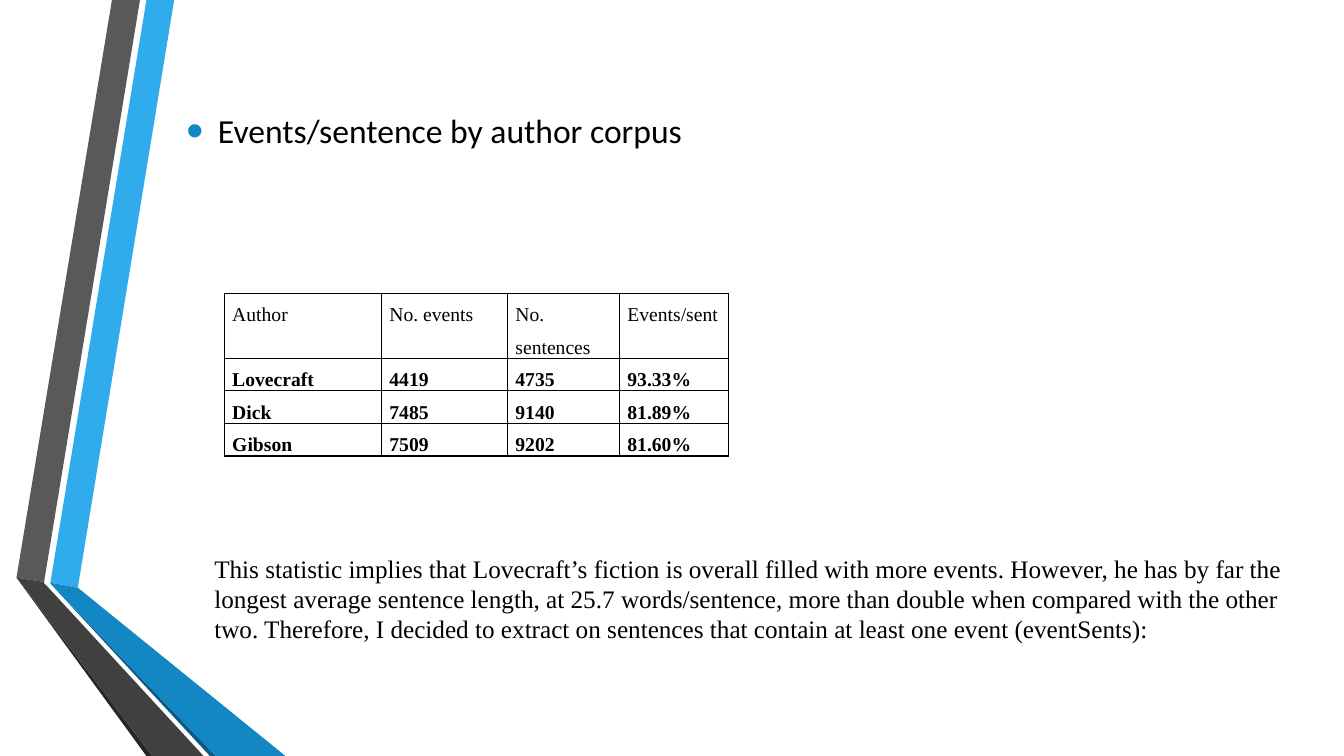
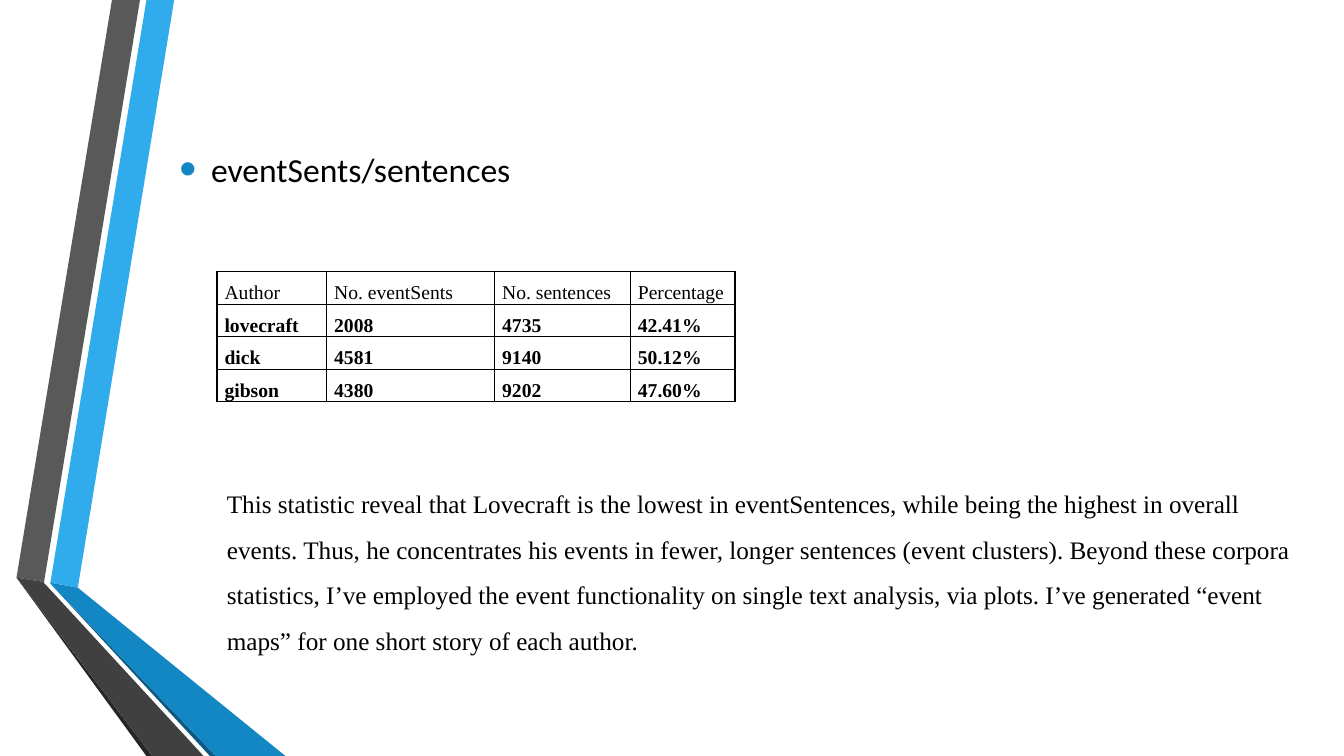
import pptx
import pptx.dml.color
import pptx.enum.text
import pptx.oxml.ns
import pptx.util
import lxml.etree

Pt = pptx.util.Pt
qn = pptx.oxml.ns.qn
ALIGN = pptx.enum.text.PP_ALIGN

COLORS = {
    "text": "000000", "bullet": "1287C3",
    "sky": "30ACEC", "blue": "1287C3", "navy": "0C5A82",
    "grey": "595959", "charcoal": "404040", "black": "262626",
}
HEAD_FONT, BODY_FONT = "Calibri", "Times New Roman"

# Folded ribbons at the left edge: colour and corner points
RIBBONS = [
    ("sky", [(36, 416.2), (55.6, 419.8), (124.4, 0), (104.6, 0)]),
    ("grey", [(100, 0), (80, 0), (11.8, 412.6), (31.5, 415.7)]),
    ("black", [(11.8, 412.6), (104.6, 540), (108.8, 540)]),
    ("navy", [(36, 416.8), (149.9, 540), (154.2, 540)]),
    ("blue", [(36, 416.8), (154.2, 540), (203.9, 540), (55.6, 419.8), (36, 416.2)]),
    ("charcoal", [(145.4, 540), (34.6, 419.8), (31, 416), (31.5, 415.7),
                  (11.8, 412.6), (108.8, 540)]),
]


def rgb(name):
    return pptx.dml.color.RGBColor.from_string(COLORS[name])


def add_xml(parent, tag, **attrs):
    return lxml.etree.SubElement(parent, qn(tag), attrs)


class Deck:
    def __init__(self):
        self.prs = pptx.Presentation()
        self.prs.slide_width, self.prs.slide_height = Pt(960), Pt(540)
        self.slide = None

    def new_slide(self):
        self.slide = self.prs.slides.add_slide(self.prs.slide_layouts[5])
        for color, points in RIBBONS:
            self.polygon(color, points)

    def polygon(self, color, points):
        start, *rest = [(Pt(x), Pt(y)) for x, y in points]
        builder = self.slide.shapes.build_freeform(*start)
        builder.add_line_segments(rest, close=True)
        sp = builder.convert_to_shape()
        sp.shadow.inherit = False
        sp.fill.solid()
        sp.fill.fore_color.rgb = rgb(color)
        sp.line.fill.background()

    def run(self, p, text, size, font, bold=False):
        r = p.add_run()
        r.text = text
        r.font.size, r.font.name, r.font.bold = Pt(size), font, bold
        r.font.color.rgb = rgb("text")

    def heading(self, text, left, top, width, height):
        sp = self.slide.shapes.title
        sp.left, sp.top, sp.width, sp.height = map(Pt, (left, top, width, height))
        tf = sp.text_frame
        tf.auto_size = pptx.enum.text.MSO_AUTO_SIZE.NONE
        tf.vertical_anchor = pptx.enum.text.MSO_ANCHOR.MIDDLE
        p = tf.paragraphs[0]
        p.alignment = ALIGN.LEFT
        p.space_before, p.space_after = Pt(4.8), Pt(6)
        self.run(p, text, 24, HEAD_FONT)
        # Large coloured bullet with a hanging indent
        ppr = p._p.get_or_add_pPr()
        ppr.set("marL", str(Pt(22.5)))
        ppr.set("indent", str(Pt(-22.5)))
        add_xml(add_xml(ppr, "a:buClr"), "a:srgbClr", val=COLORS["bullet"])
        add_xml(ppr, "a:buSzPct", val="145000")
        add_xml(ppr, "a:buFont", typeface="Arial")
        add_xml(ppr, "a:buChar", char="•")

    def table(self, rows, left, top, col_widths, row_height=23):
        frame = self.slide.shapes.add_table(
            len(rows), len(col_widths), Pt(left), Pt(top),
            Pt(sum(col_widths)), Pt(row_height * len(rows)))
        table = frame.table
        table.first_row = table.horz_banding = False
        for col, width in zip(table.columns, col_widths):
            col.width = Pt(width)
        for i, row in enumerate(rows):
            for j, text in enumerate(row):
                self.cell(table.cell(i, j), text, bold=i > 0)

    def cell(self, cell, text, bold):
        cell.margin_left = cell.margin_right = Pt(5.4)
        cell.margin_top = cell.margin_bottom = Pt(0)
        p = cell.text_frame.paragraphs[0]
        p.alignment, p.line_spacing, p.space_after = ALIGN.JUSTIFY, 1.5, Pt(10)
        self.run(p, text, 14, BODY_FONT, bold)
        # Borders come first in the cell properties, then the fill
        tcpr = cell._tc.get_or_add_tcPr()
        for side in ("a:lnL", "a:lnR", "a:lnT", "a:lnB"):
            ln = add_xml(tcpr, side, w=str(Pt(1)))
            add_xml(add_xml(ln, "a:solidFill"), "a:srgbClr", val=COLORS["text"])
        cell.fill.background()

    def body(self, text, left, top, width, height, spacing=1.0):
        sp = self.slide.shapes.add_textbox(*map(Pt, (left, top, width, height)))
        tf = sp.text_frame
        tf.word_wrap = True
        tf.auto_size = pptx.enum.text.MSO_AUTO_SIZE.SHAPE_TO_FIT_TEXT
        p = tf.paragraphs[0]
        p.line_spacing = spacing
        self.run(p, text, 18, BODY_FONT)


def main():
    deck = Deck()

    # Events per sentence
    deck.new_slide()
    deck.heading("Events/sentence by author corpus", 126, 0, 789, 186)
    deck.table([
        ("Author", "No. events", "No. sentences", "Events/sent"),
        ("Lovecraft", "4419", "4735", "93.33%"),
        ("Dick", "7485", "9140", "81.89%"),
        ("Gibson", "7509", "9202", "81.60%"),
    ], 160.5, 209.5, (112.3, 90, 80, 77.8))
    deck.body(
        "This statistic implies that Lovecraft’s fiction is overall filled with more "
        "events. However, he has by far the longest average sentence length, at 25.7 "
        "words/sentence, more than double when compared with the other two. Therefore, "
        "I decided to extract on sentences that contain at least one event (eventSents):",
        146, 391.7, 798, 94)

    # Share of sentences with an event
    deck.new_slide()
    deck.heading("eventSents/sentences", 121, 75.6, 789, 90)
    deck.table([
        ("Author", "No. eventSents", "No. sentences", "Percentage"),
        ("lovecraft", "2008", "4735", "42.41%"),
        ("dick", "4581", "9140", "50.12%"),
        ("gibson", "4380", "9202", "47.60%"),
    ], 155, 194, (78.3, 120, 97, 74.7))
    deck.body(
        "This statistic reveal that Lovecraft is the lowest in eventSentences, while "
        "being the highest in overall events. Thus, he concentrates his events in fewer, "
        "longer sentences (event clusters). Beyond these corpora statistics, I’ve "
        "employed the event functionality on single text analysis, via plots. I’ve "
        "generated “event maps” for one short story of each author.",
        155, 334.8, 789, 200, spacing=1.5)

    deck.prs.save("out.pptx")


if __name__ == "__main__":
    main()
